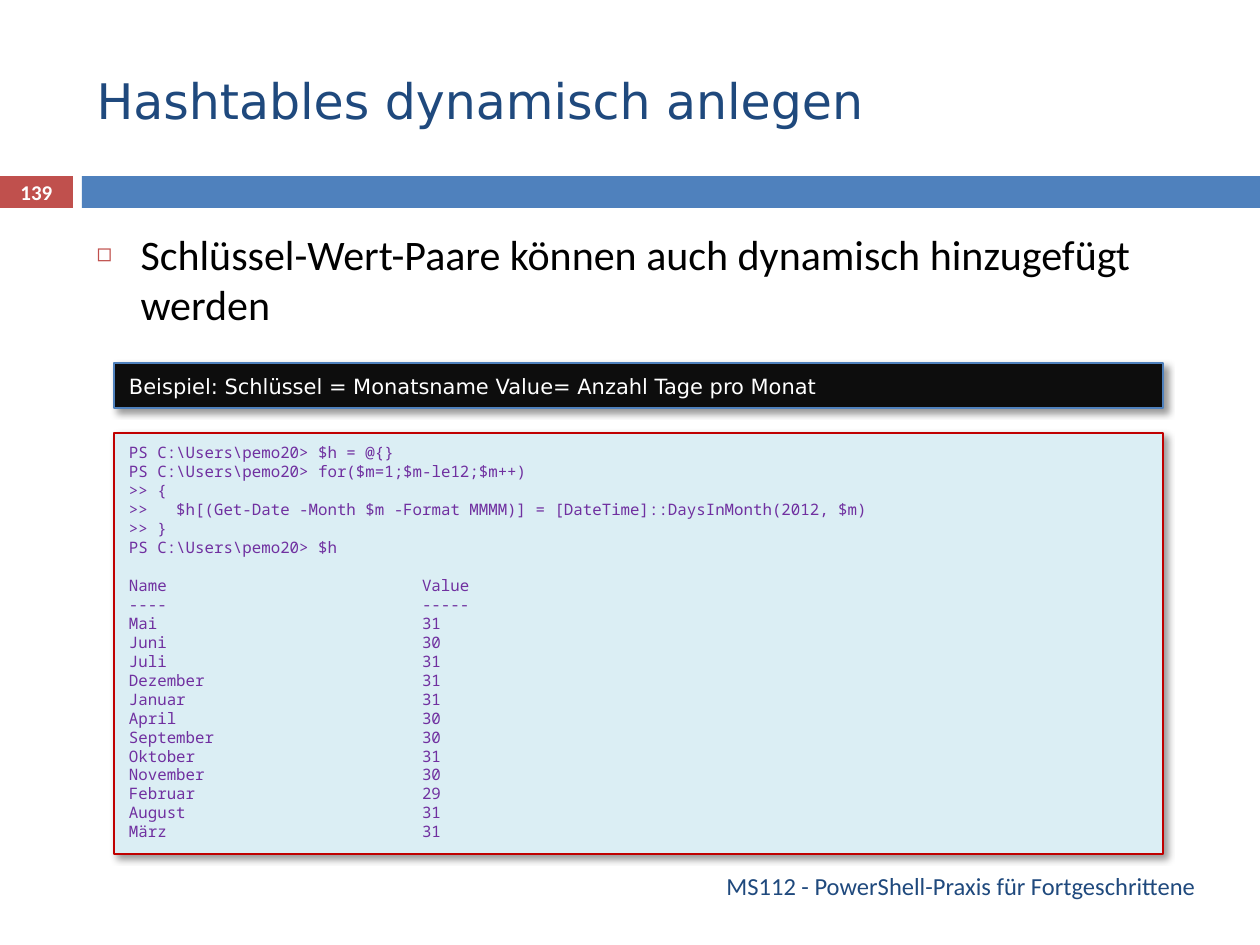
from dataclasses import dataclass

import pptx
import pptx.dml.color
import pptx.enum.shapes
import pptx.enum.text
import pptx.oxml
import pptx.oxml.ns
import pptx.util
from lxml import etree

PX_PER_INCH = 126
Align = pptx.enum.text.PP_ALIGN
Anchor = pptx.enum.text.MSO_ANCHOR


@dataclass(frozen=True)
class TextStyle:
    font: str
    size: float
    color: str
    bold: bool = False


@dataclass(frozen=True)
class Theme:
    red: str = "C0504D"
    blue: str = "4F81BD"
    black: str = "0D0D0D"
    pale: str = "DBEEF4"
    frame: str = "C00000"
    title: TextStyle = TextStyle("DejaVu Sans", 28, "1F497D")
    body: TextStyle = TextStyle("Calibri", 24, "000000")
    footer: TextStyle = TextStyle("Calibri", 14, "1F497D")
    number: TextStyle = TextStyle("Calibri", 12, "FFFFFF", True)
    caption: TextStyle = TextStyle("DejaVu Sans", 12, "FFFFFF")
    code: TextStyle = TextStyle("Noto Sans Mono", 9, "7030A0")
    code_line: float = 10.83


@dataclass(frozen=True)
class Box:
    left: int
    top: int
    width: int
    height: int


THEME = Theme()
BAR_TOP, BAR_HEIGHT = 176, 32
PANEL_LEFT, PANEL_WIDTH = 114, 1049
CONTENT_LEFT, CONTENT_WIDTH = 84, 1124
VALUE_TAB = 293

COMMANDS = [
    r"PS C:\Users\pemo20> $h = @{}",
    r"PS C:\Users\pemo20> for($m=1;$m-le12;$m++)",
    ">> {",
    ">>   $h[(Get-Date -Month $m -Format MMMM)] = [DateTime]::DaysInMonth(2012, $m)",
    ">> }",
    r"PS C:\Users\pemo20> $h",
]
RESULT = [
    ("Name", "Value"), ("----", "-----"),
    ("Mai", "31"), ("Juni", "30"), ("Juli", "31"), ("Dezember", "31"),
    ("Januar", "31"), ("April", "30"), ("September", "30"), ("Oktober", "31"),
    ("November", "30"), ("Februar", "29"), ("August", "31"), ("März", "31"),
]


def px(length: int) -> int:
    return pptx.util.Emu(round(length * 914400 / PX_PER_INCH))


def rgb(color: str) -> pptx.dml.color.RGBColor:
    return pptx.dml.color.RGBColor.from_string(color)


def place(shape, box: Box) -> None:
    shape.left, shape.top = px(box.left), px(box.top)
    shape.width, shape.height = px(box.width), px(box.height)


def write(shape, text: str, style: TextStyle, align=Align.LEFT, anchor=Anchor.TOP) -> None:
    frame = shape.text_frame
    frame.word_wrap = True
    frame.auto_size = pptx.enum.text.MSO_AUTO_SIZE.NONE
    frame.vertical_anchor = anchor
    frame.text = text
    for paragraph in frame.paragraphs:
        paragraph.alignment = align
        for run in paragraph.runs:
            run.font.name = style.font
            run.font.size = pptx.util.Pt(style.size)
            run.font.bold = style.bold
            run.font.color.rgb = rgb(style.color)


def add_rectangle(slide, box: Box, fill: str):
    shape = slide.shapes.add_shape(
        pptx.enum.shapes.MSO_SHAPE.RECTANGLE,
        px(box.left), px(box.top), px(box.width), px(box.height))
    shape.shadow.inherit = False
    shape.fill.solid()
    shape.fill.fore_color.rgb = rgb(fill)
    shape.line.fill.background()
    return shape


def add_text(slide, box: Box, text: str, style: TextStyle, align) -> None:
    shape = slide.shapes.add_textbox(px(0), px(0), px(0), px(0))
    place(shape, box)
    write(shape, text, style, align, Anchor.MIDDLE)


def add_panel(slide, top: int, height: int, fill: str, line: str, text: str, style: TextStyle):
    """Framed text panel with a soft shadow to the lower right."""
    panel = add_rectangle(slide, Box(PANEL_LEFT, top, PANEL_WIDTH, height), fill)
    panel.line.color.rgb = rgb(line)
    panel.line.width = pptx.util.Pt(1.5)
    effects = panel._element.spPr.find(pptx.oxml.ns.qn("a:effectLst"))
    effects.append(pptx.oxml.parse_xml(
        f'<a:outerShdw {pptx.oxml.ns.nsdecls("a")} blurRad="50800" dist="38100" '
        'dir="2700000" algn="tl" rotWithShape="0">'
        '<a:srgbClr val="000000"><a:alpha val="40000"/></a:srgbClr></a:outerShdw>'))
    write(panel, text, style)
    frame = panel.text_frame
    frame.margin_left, frame.margin_right = px(15), px(13)
    frame.margin_top = frame.margin_bottom = px(10)
    return panel


def add_child(parent, tag: str, **attributes: str):
    return etree.SubElement(parent, pptx.oxml.ns.qn(tag), attributes)


def set_bullet(paragraph, indent: int) -> None:
    paragraph.space_before = pptx.util.Pt(0)
    properties = paragraph._p.get_or_add_pPr()
    properties.set("marL", str(px(indent)))
    properties.set("indent", str(-px(indent)))
    add_child(add_child(properties, "a:buClr"), "a:srgbClr", val=THEME.red)
    add_child(properties, "a:buSzPct", val="60000")
    add_child(properties, "a:buChar", char="◻")


def set_console_layout(paragraphs) -> None:
    """Fixed line pitch, a gap before the result, and its value column."""
    for index, paragraph in enumerate(paragraphs):
        paragraph.line_spacing = pptx.util.Pt(THEME.code_line)
        if index == len(COMMANDS):
            paragraph.space_before = pptx.util.Pt(THEME.code_line)
        if index >= len(COMMANDS):
            tabs = add_child(paragraph._p.get_or_add_pPr(), "a:tabLst")
            add_child(tabs, "a:tab", pos=str(px(VALUE_TAB)), algn="l")


def main() -> None:
    presentation = pptx.Presentation()
    presentation.slide_width, presentation.slide_height = px(1260), px(945)
    slide = presentation.slides.add_slide(presentation.slide_layouts[1])

    # Header bar with slide number
    number_box = Box(0, BAR_TOP, 73, BAR_HEIGHT)
    add_rectangle(slide, number_box, THEME.red)
    add_rectangle(slide, Box(82, BAR_TOP, 1178, BAR_HEIGHT), THEME.blue)
    add_text(slide, number_box, "139", THEME.number, Align.CENTER)

    # Title and body
    title, body = slide.placeholders
    place(title, Box(CONTENT_LEFT, 32, CONTENT_WIDTH, 136))
    write(title, "Hashtables dynamisch anlegen", THEME.title, anchor=Anchor.MIDDLE)
    place(body, Box(CONTENT_LEFT, 222, CONTENT_WIDTH, 619))
    write(body, "Schlüssel-Wert-Paare können auch dynamisch hinzugefügt werden", THEME.body)
    set_bullet(body.text_frame.paragraphs[0], 44)

    # Example caption and console session
    add_panel(slide, 363, 45, THEME.black, THEME.blue,
              "Beispiel: Schlüssel = Monatsname Value= Anzahl Tage pro Monat", THEME.caption)
    lines = COMMANDS + ["\t".join(row) for row in RESULT]
    console = add_panel(slide, 433, 421, THEME.pale, THEME.frame, "\n".join(lines), THEME.code)
    set_console_layout(console.text_frame.paragraphs)

    # Footer
    add_text(slide, Box(CONTENT_LEFT, 861, CONTENT_WIDTH, 50),
             "MS112 - PowerShell-Praxis für Fortgeschrittene", THEME.footer, Align.RIGHT)

    presentation.save("out.pptx")


if __name__ == "__main__":
    main()
